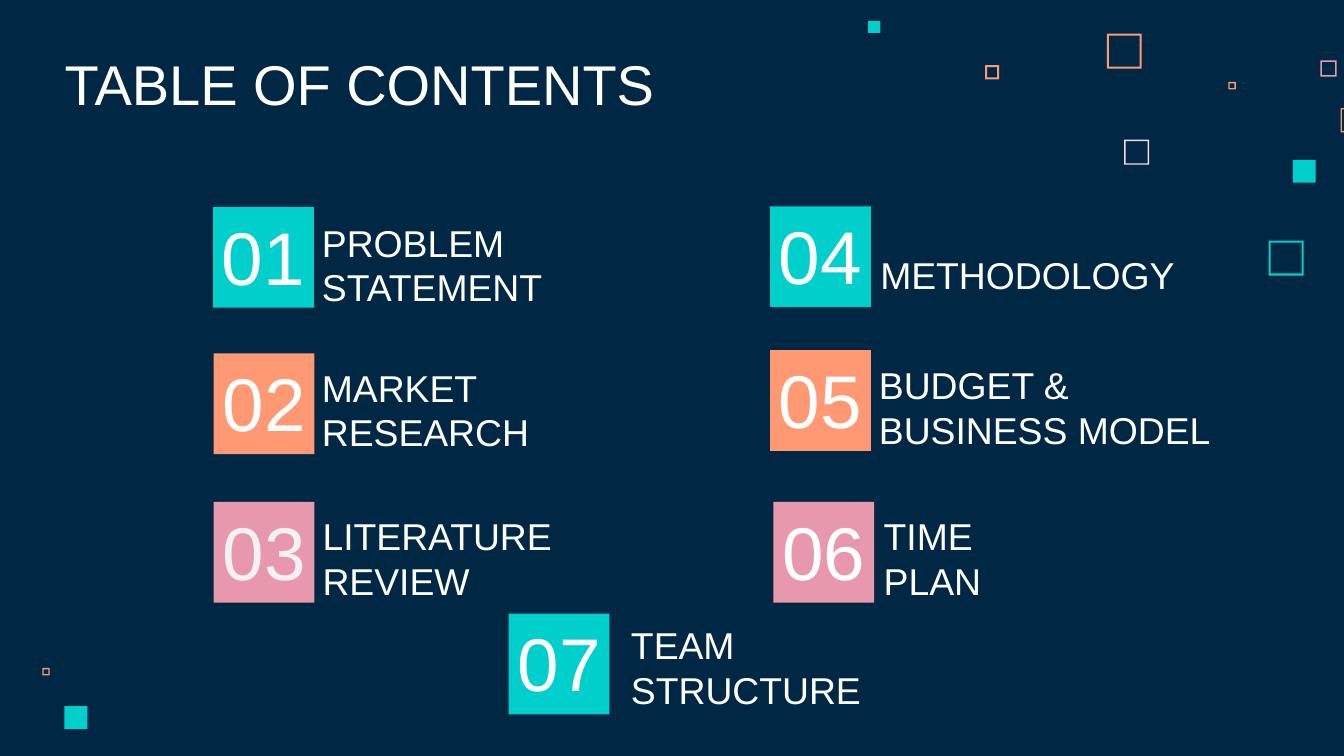
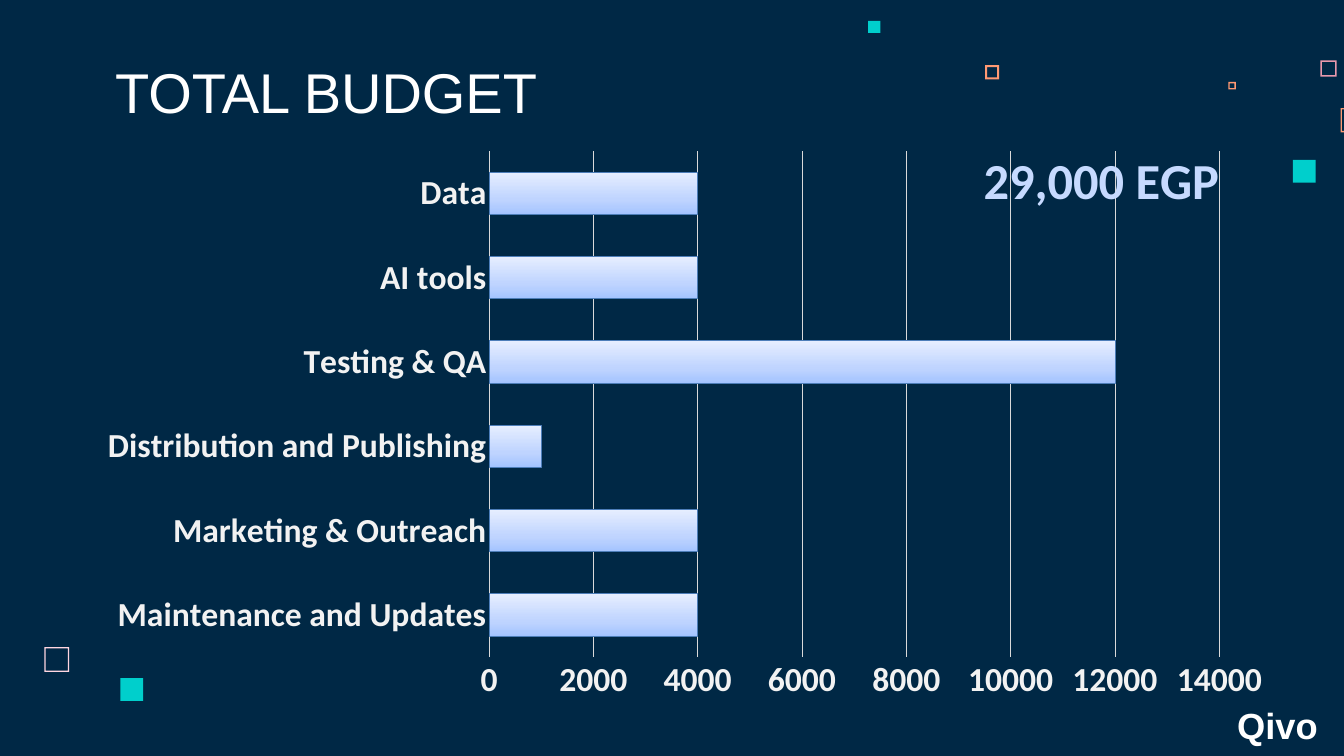
from copy import deepcopy

from lxml import etree
from pptx import Presentation
from pptx.chart.data import CategoryChartData
from pptx.dml.color import RGBColor
from pptx.enum.chart import XL_CHART_TYPE as ChartType, XL_TICK_MARK as TickMark
from pptx.enum.shapes import MSO_SHAPE as Shape
from pptx.enum.text import MSO_AUTO_SIZE as AutoSize, PP_ALIGN as Align
from pptx.oxml.ns import qn
from pptx.util import Inches, Pt

# Colours and fonts
NAVY = RGBColor(0x00, 0x28, 0x45)
WHITE = RGBColor(0xFF, 0xFF, 0xFF)
OFF_WHITE = RGBColor(0xF2, 0xF2, 0xF2)
TEAL = RGBColor(0x00, 0xCF, 0xCC)
ORANGE = RGBColor(0xFF, 0x99, 0x73)
PINK = RGBColor(0xE8, 0x98, 0xAC)
PALE_PINK = RGBColor(0xFF, 0xD6, 0xE1)
GRID_GREY = RGBColor(0xD9, 0xD9, 0xD9)
TOTAL_BLUE = RGBColor(0xC6, 0xDA, 0xFF)
BAR_EDGE = RGBColor(0x4D, 0x7E, 0xB9)
BAR_STOPS = [(0, RGBColor(0xA4, 0xC4, 0xFF)),
             (0.35, RGBColor(0xBF, 0xD4, 0xFF)),
             (1, RGBColor(0xE6, 0xEE, 0xFF))]
TEXT_FONT, CHART_FONT = "Arial", "Calibri"

# Decorative squares: left, top, side, colour, border (0 for a solid square)
SHARED_SQUARES = [
    (19.65, 0.9, 0.24, PINK, 0.02),
    (18.28, 1.22, 0.11, ORANGE, 0.02),
    (19.95, 1.61, 0.36, ORANGE, 0.02),
    (19.24, 2.38, 0.34, TEAL, 0),
    (14.66, 0.97, 0.21, ORANGE, 0.03),
    (12.92, 0.31, 0.18, TEAL, 0),
]
CONTENTS_SQUARES = [
    (16.73, 2.08, 0.37, PALE_PINK, 0.02),
    (0.63, 9.94, 0.11, ORANGE, 0.02),
    (0.96, 10.51, 0.34, TEAL, 0),
    (18.88, 3.58, 0.52, TEAL, 0.03),
    (16.47, 0.5, 0.52, ORANGE, 0.03),
]
BUDGET_SQUARES = [
    (0.66, 9.63, 0.37, PALE_PINK, 0.02),
    (1.79, 10.09, 0.34, TEAL, 0),
]

# Contents: tile left and top, label left, top and width, label lines
TILE_SIDE = 1.5
TILE_COLORS = [TEAL, ORANGE, PINK]
SECTIONS = [
    (3.17, 3.08, 4.79, 3.27, 3.55, ["PROBLEM", "STATEMENT"]),
    (3.18, 5.26, 4.79, 5.43, 3.96, ["MARKET", "RESEARCH"]),
    (3.18, 7.47, 4.8, 7.64, 3.54, ["LITERATURE", "REVIEW"]),
    (11.46, 3.07, 13.1, 3.75, 4.73, ["METHODOLOGY"]),
    (11.46, 5.21, 13.08, 5.39, 5.28, ["BUDGET &", "BUSINESS MODEL"]),
    (11.51, 7.47, 13.15, 7.64, 3.83, ["TIME", "PLAN"]),
    (7.57, 9.13, 9.39, 9.26, 4.73, ["TEAM", "STRUCTURE"]),
]

# Budget, from the bottom bar up
BUDGET = {
    "Maintenance and Updates": 4000,
    "Marketing & Outreach": 4000,
    "Distribution and Publishing": 1000,
    "Testing & QA": 12000,
    "AI tools": 4000,
    "Data": 4000,
}


def add_slide(deck):
    slide = deck.slides.add_slide(deck.slide_layouts[6])
    slide.background.fill.solid()
    slide.background.fill.fore_color.rgb = NAVY
    return slide


def add_square(slide, left, top, side, color, border=0):
    """Draw a solid square, or a hollow one when a border is given."""
    square = slide.shapes.add_shape(Shape.FRAME if border else Shape.RECTANGLE,
                                    Inches(left), Inches(top), Inches(side), Inches(side))
    if border:
        square.adjustments[0] = border / side
    square.shadow.inherit = False
    square.fill.solid()
    square.fill.fore_color.rgb = color
    square.line.fill.background()


def add_squares(slide, squares):
    for square in squares:
        add_square(slide, *square)


def set_font(font, name, size, color, bold=False):
    font.name, font.size, font.bold = name, Pt(size), bold
    font.color.rgb = color


def add_text(slide, left, top, width, height, lines, size, spacing,
             align=Align.LEFT, color=WHITE, bold=False):
    box = slide.shapes.add_textbox(Inches(left), Inches(top), Inches(width), Inches(height))
    frame = box.text_frame
    frame.word_wrap = True
    frame.auto_size = AutoSize.SHAPE_TO_FIT_TEXT
    frame.margin_left = frame.margin_top = frame.margin_right = frame.margin_bottom = 0
    frame.text = "\n".join(lines)
    for paragraph in frame.paragraphs:
        paragraph.alignment = align
        paragraph.line_spacing = Pt(spacing)
        set_font(paragraph.font, TEXT_FONT, size, color, bold)


def add_title(slide, left, top, width, text, spacing, align=Align.LEFT):
    add_text(slide, left, top, width, 1.1, [text], 60, spacing, align)


def add_section(slide, number, section):
    tile_left, tile_top, label_left, label_top, label_width, lines = section
    color = TILE_COLORS[(number - 1) % len(TILE_COLORS)]
    add_square(slide, tile_left, tile_top, TILE_SIDE, color)
    add_text(slide, tile_left, tile_top + 0.05, TILE_SIDE, 1.38, [f"{number:02}"], 80, 96,
             Align.CENTER, OFF_WHITE if number == 3 else WHITE)
    add_text(slide, label_left, label_top, label_width, 0.67 * len(lines), lines, 40, 48)


def set_layout(parent, index, **settings):
    """Place a chart part by hand, in fractions of the chart area."""
    for automatic in parent.findall(qn("c:layout")):
        parent.remove(automatic)
    layout = etree.Element(qn("c:layout"))
    manual = etree.SubElement(layout, qn("c:manualLayout"))
    for tag, value in settings.items():
        etree.SubElement(manual, qn(f"c:{tag}")).set("val", str(value))
    parent.insert(index, layout)


def style_bars(chart):
    plot = chart.plots[0]
    plot.gap_width = 100
    plot.vary_by_categories = False
    bars = plot.series[0].format
    bars.line.color.rgb = BAR_EDGE
    bars.line.width = Pt(0.75)
    bars.fill.gradient()
    bars.fill.gradient_angle = 90
    stop_list = chart.element.find(".//" + qn("a:gsLst"))
    stop_list.append(deepcopy(stop_list[0]))
    for stop, (position, color) in zip(bars.fill.gradient_stops, BAR_STOPS):
        stop.position = position
        stop.color.rgb = color


def style_axes(chart):
    items, amounts = chart.category_axis, chart.value_axis
    for axis in (items, amounts):
        axis.major_tick_mark = axis.minor_tick_mark = TickMark.NONE
        set_font(axis.tick_labels.font, CHART_FONT, 36, OFF_WHITE, True)
    amounts.minimum_scale, amounts.maximum_scale, amounts.major_unit = 0, 14000, 2000
    amounts.has_major_gridlines = True
    amounts.format.line.fill.background()
    for line in (items.format.line, amounts.major_gridlines.format.line):
        line.color.rgb = GRID_GREY
        line.width = Pt(0.75)


def add_budget_chart(slide):
    data = CategoryChartData()
    data.categories = list(BUDGET)
    data.add_series("Series 1", list(BUDGET.values()))
    chart = slide.shapes.add_chart(ChartType.BAR_CLUSTERED, Inches(-2.04), Inches(1.84),
                                   Inches(20.94), Inches(8.89), data).chart
    set_font(chart.font, CHART_FONT, 36, OFF_WHITE, True)
    chart.has_legend = False
    style_bars(chart)
    style_axes(chart)

    # Total above the bars
    total = chart.chart_title
    total.text_frame.text = "29,000 EGP"
    set_font(total.text_frame.paragraphs[0].font, CHART_FONT, 54, TOTAL_BLUE, True)
    total.include_in_layout = False
    set_layout(total.element if hasattr(total, "element") else total._element, 1,
               xMode="edge", yMode="edge", x=0.79, y=0.02)
    set_layout(chart.element.find(".//" + qn("c:plotArea")), 0, layoutTarget="inner",
               xMode="edge", yMode="edge", x=0.445, y=0.046, w=0.519, h=0.847)


def build_contents(deck):
    slide = add_slide(deck)
    add_squares(slide, SHARED_SQUARES + CONTENTS_SQUARES)
    add_title(slide, 0.96, 0.74, 9.81, "TABLE OF CONTENTS", 72)
    for number, section in enumerate(SECTIONS, 1):
        add_section(slide, number, section)


def build_budget(deck):
    slide = add_slide(deck)
    add_budget_chart(slide)
    add_squares(slide, SHARED_SQUARES + BUDGET_SQUARES)
    add_title(slide, 1.66, 0.69, 6.39, "TOTAL BUDGET", 84, Align.CENTER)
    add_text(slide, 16.68, 10.47, 4.66, 0.67, ["Qivo"], 38.9, 46.7, Align.CENTER, bold=True)


def main():
    deck = Presentation()
    deck.slide_width, deck.slide_height = Inches(20), Inches(11.25)
    build_contents(deck)
    build_budget(deck)
    deck.save("out.pptx")


if __name__ == "__main__":
    main()
